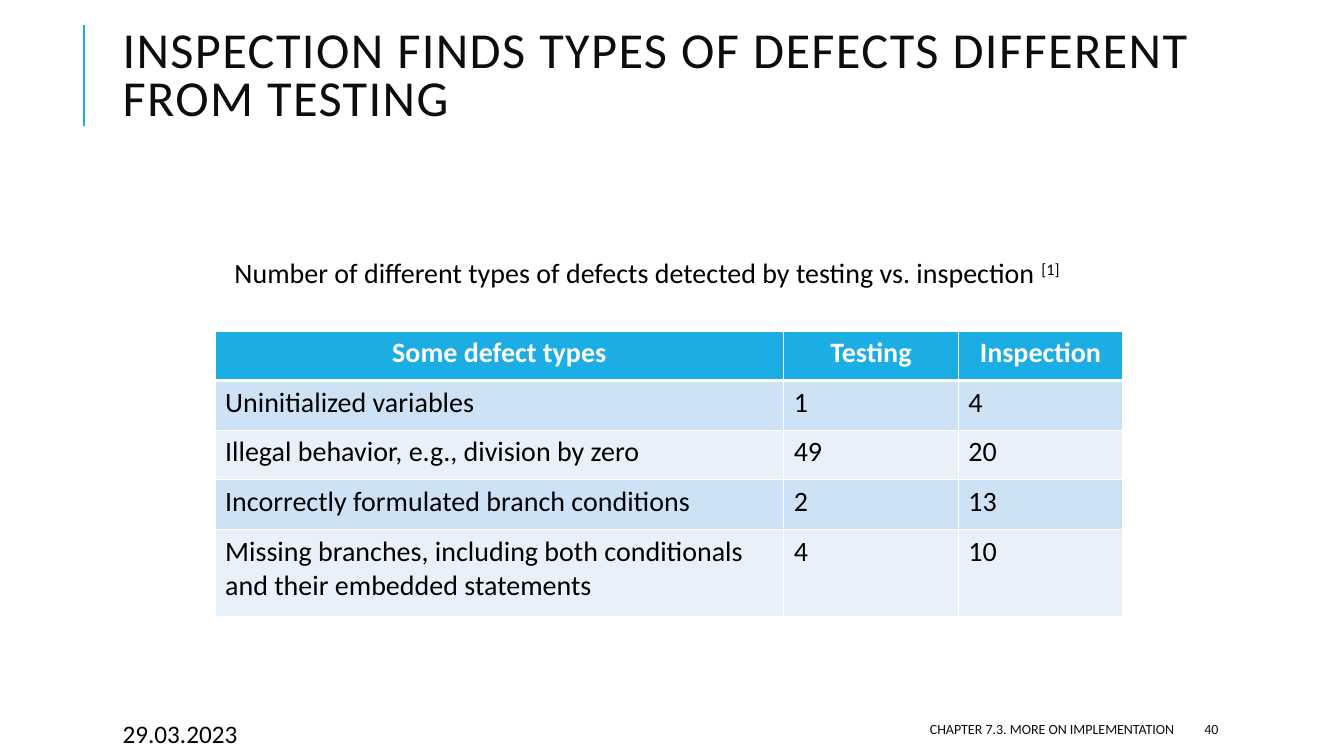
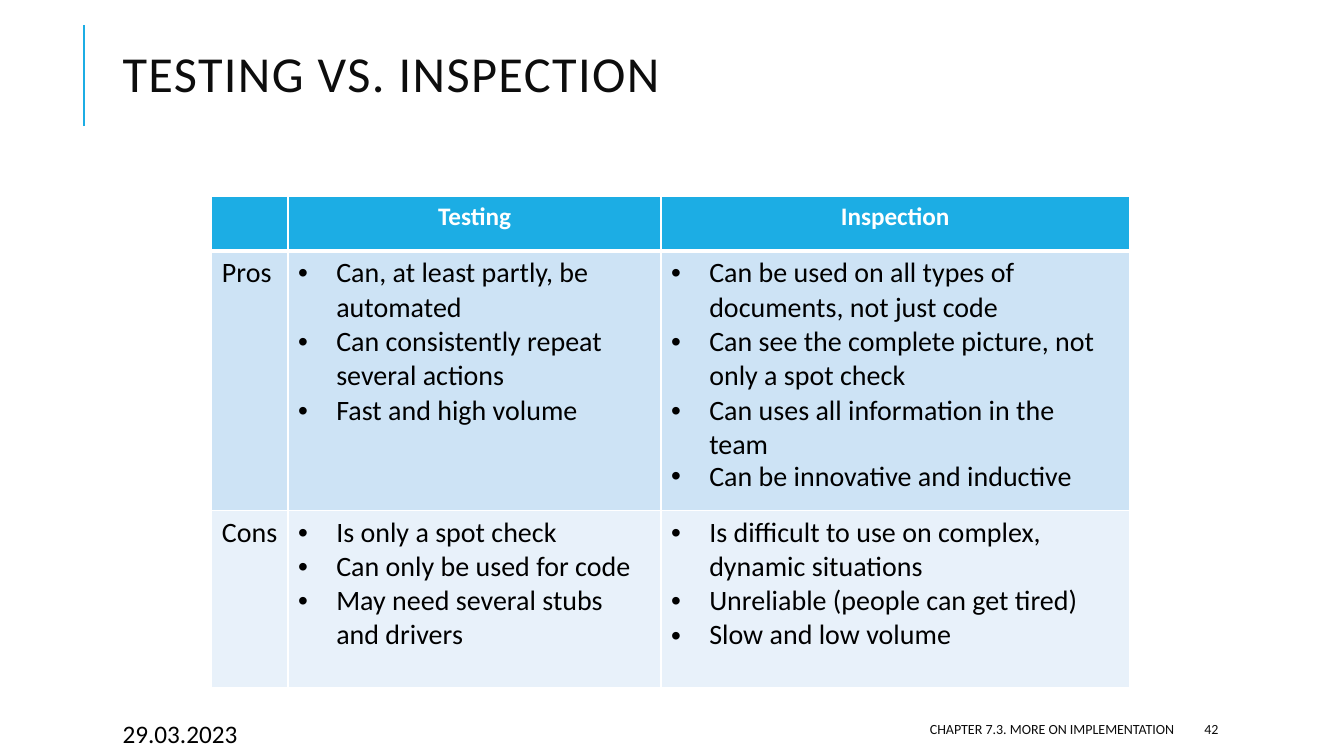
from dataclasses import dataclass

from lxml.etree import SubElement
from pptx import Presentation
from pptx.dml.color import RGBColor
from pptx.enum.shapes import MSO_CONNECTOR
from pptx.enum.text import MSO_ANCHOR, PP_ALIGN
from pptx.oxml import parse_xml
from pptx.oxml.ns import nsdecls, qn
from pptx.util import Cm, Pt


@dataclass(frozen=True)
class Theme:
    font: str = "Calibri"
    accent: str = "1CADE4"
    dark: str = "0D0D0D"
    black: str = "000000"
    white: str = "FFFFFF"
    bands: tuple = ("CDE3F5", "E8F1FA")
    title_size: int = 36
    body_size: int = 20
    small_heading_size: int = 18
    date_size: int = 18
    footer_size: int = 10
    thin_border: float = 1
    thick_border: float = 3


THEME = Theme()
DATE = "29.03.2023"
CHAPTER = "CHAPTER 7.3. MORE ON IMPLEMENTATION"
FOOTER_TOP, FOOTER_HEIGHT = 17.98, 0.76
BULLET_INDENT = 0.96

DEFECT_ROWS = [
    ["Some defect types", "Testing", "Inspection"],
    ["Uninitialized variables", "1", "4"],
    ["Illegal behavior, e.g., division by zero", "49", "20"],
    ["Incorrectly formulated branch conditions", "2", "13"],
    ["Missing branches, including both conditionals and their embedded statements", "4", "10"],
]

# A list in a cell stands for bullets
COMPARISON_ROWS = [
    ["", "Testing", "Inspection"],
    ["Pros",
     ["Can, at least partly, be automated",
      "Can consistently repeat several actions",
      "Fast and high volume"],
     ["Can be used on all types of documents, not just code",
      "Can see the complete picture, not only a spot check",
      "Can uses all information in the team",
      "Can be innovative and inductive"]],
    ["Cons",
     ["Is only a spot check",
      "Can only be used for code",
      "May need several stubs and drivers"],
     ["Is difficult to use on complex, dynamic situations",
      "Unreliable (people can get tired)",
      "Slow and low volume"]],
]


# Text
def add_span(para, text, size, color, bold=False):
    span = para.add_run()
    span.text = text
    span.font.name = THEME.font
    span.font.size = Pt(size)
    span.font.bold = bold
    span.font.color.rgb = RGBColor.from_string(color)
    return span


def add_text(page, area, text, size, color, anchor=MSO_ANCHOR.TOP, align=PP_ALIGN.LEFT):
    box = page.shapes.add_textbox(*(Cm(length) for length in area))
    box.text_frame.word_wrap = True
    box.text_frame.vertical_anchor = anchor
    para = box.text_frame.paragraphs[0]
    para.alignment = align
    return para, add_span(para, text, size, color)


def add_bullet(para):
    properties = para._p.get_or_add_pPr()
    properties.set("marL", str(Cm(BULLET_INDENT)))
    properties.set("indent", str(-Cm(BULLET_INDENT)))
    SubElement(properties, qn("a:buFont"), typeface="Arial")
    SubElement(properties, qn("a:buChar"), char="•")


# Tables
def set_borders(cell, top, bottom):
    properties = cell._tc.get_or_add_tcPr()
    widths = {"lnL": THEME.thin_border, "lnR": THEME.thin_border, "lnT": top, "lnB": bottom}
    for position, (side, width) in enumerate(widths.items()):
        properties.insert(position, parse_xml(
            f'<a:{side} {nsdecls("a")} w="{Pt(width)}"><a:solidFill>'
            f'<a:srgbClr val="{THEME.white}"/></a:solidFill></a:{side}>'))


def fill_cell(cell, content, size, color, heading):
    bulleted = isinstance(content, list)
    for index, text in enumerate(content if bulleted else [content]):
        frame = cell.text_frame
        para = frame.add_paragraph() if index else frame.paragraphs[0]
        if bulleted:
            add_bullet(para)
        if heading:
            para.alignment = PP_ALIGN.CENTER
        if text:
            add_span(para, text, size, color, bold=heading)


def add_grid(page, left, top, widths, heights, rows, heading_size):
    table = page.shapes.add_table(len(heights), len(widths), Cm(left), Cm(top),
                                  Cm(sum(widths)), Cm(sum(heights))).table
    for column, width in zip(table.columns, widths):
        column.width = Cm(width)
    for row, height in zip(table.rows, heights):
        row.height = Cm(height)
    for row_index, row in enumerate(rows):
        heading = row_index == 0
        fill = THEME.accent if heading else THEME.bands[(row_index - 1) % 2]
        size = heading_size if heading else THEME.body_size
        color = THEME.white if heading else THEME.black
        for column_index, content in enumerate(row):
            cell = table.cell(row_index, column_index)
            cell.fill.solid()
            cell.fill.fore_color.rgb = RGBColor.from_string(fill)
            set_borders(cell,
                        top=THEME.thick_border if row_index == 1 else THEME.thin_border,
                        bottom=THEME.thick_border if heading else THEME.thin_border)
            fill_cell(cell, content, size, color, heading)
    return table


# Shared page frame: accent line, title and footer
def add_page(deck, title, number):
    page = deck.slides.add_slide(deck.slide_layouts[6])
    line = page.shapes.add_connector(MSO_CONNECTOR.STRAIGHT,
                                     Cm(2.12), Cm(3.18), Cm(2.12), Cm(0.64))
    line.line.color.rgb = RGBColor.from_string(THEME.accent)
    line.line.width = Pt(1.5)
    SubElement(line._element.spPr, qn("a:effectLst"))

    para, span = add_text(page, (2.84, 0.28, 29.97, 3.38), title, THEME.title_size,
                          THEME.dark, MSO_ANCHOR.MIDDLE)
    para.line_spacing = 0.8
    span._r.get_or_add_rPr().set("spc", "100")

    add_text(page, (2.84, FOOTER_TOP, 6, FOOTER_HEIGHT), DATE, THEME.date_size, THEME.black)
    add_text(page, (13.46, FOOTER_TOP, 16.38, FOOTER_HEIGHT), CHAPTER, THEME.footer_size,
             THEME.dark, MSO_ANCHOR.MIDDLE, PP_ALIGN.RIGHT)
    add_text(page, (30.1, FOOTER_TOP, 2.7, FOOTER_HEIGHT), str(number), THEME.footer_size,
             THEME.dark, MSO_ANCHOR.MIDDLE)
    return page


def add_defects_page(deck):
    page = add_page(deck, "INSPECTION FINDS TYPES OF DEFECTS DIFFERENT FROM TESTING", 40)
    para, _ = add_text(page, (5.66, 6.32, 22.94, 1.12),
                       "Number of different types of defects detected by testing vs. inspection ",
                       THEME.body_size, THEME.black)
    citation = add_span(para, "[1]", THEME.body_size, THEME.black)
    citation._r.get_or_add_rPr().set("baseline", "30000")
    add_grid(page, 5.42, 8.34, [14.33, 4.4, 4.14], [1.25] * 4 + [2.2],
             DEFECT_ROWS, THEME.body_size)


def add_comparison_page(deck):
    page = add_page(deck, "TESTING VS. INSPECTION", 42)
    table = add_grid(page, 5.34, 4.94, [1.92, 9.4, 11.8], [1.39, 6.53, 4.47],
                     COMPARISON_ROWS, THEME.small_heading_size)
    table.cell(1, 2).text_frame.paragraphs[-1].line_spacing = 0.9


def main():
    deck = Presentation()
    deck.slide_width, deck.slide_height = Cm(33.87), Cm(19.05)
    add_defects_page(deck)
    add_comparison_page(deck)
    deck.save("out.pptx")


if __name__ == "__main__":
    main()
